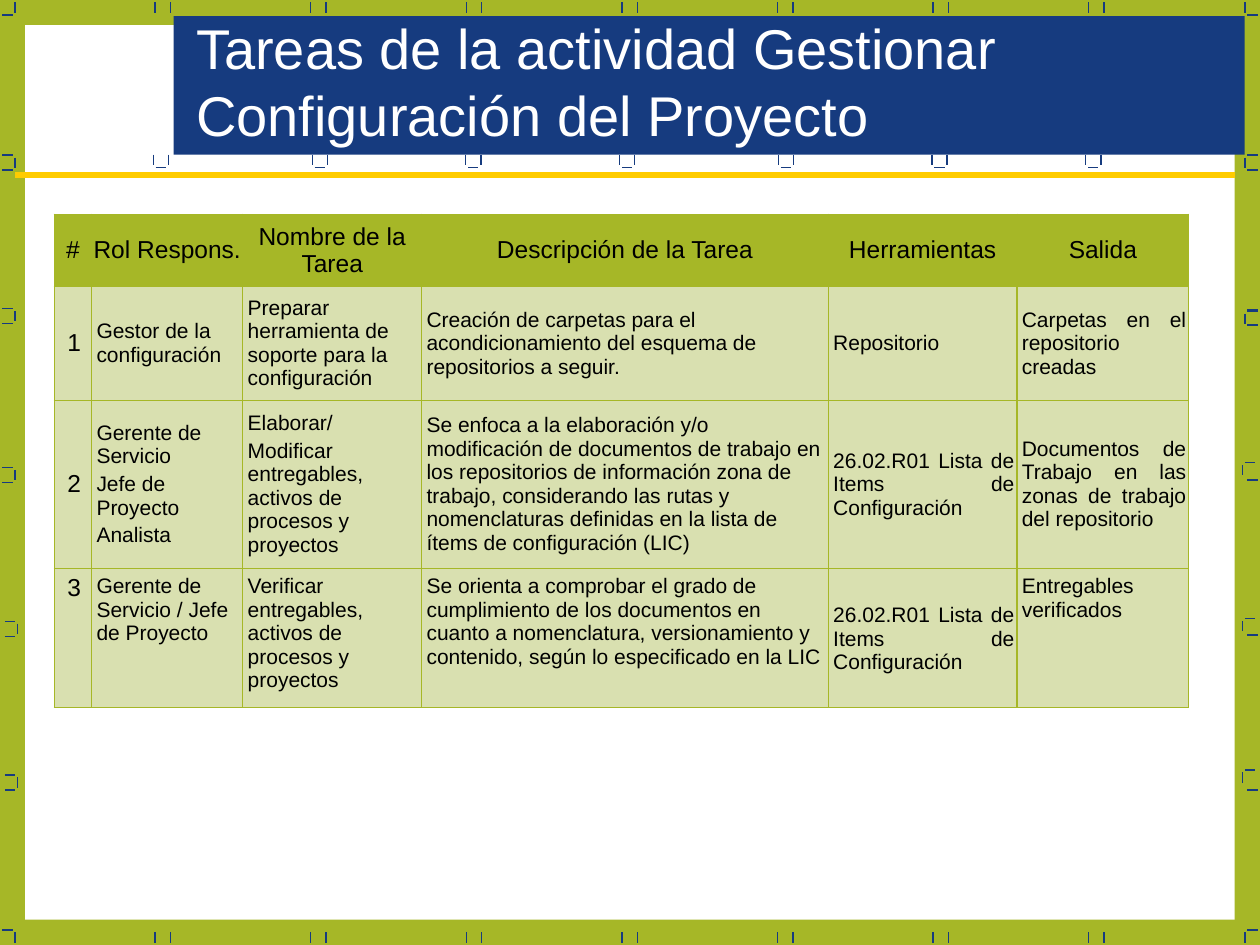
from lxml import etree
from pptx import Presentation
from pptx.dml.color import RGBColor
from pptx.enum.shapes import MSO_CONNECTOR, MSO_SHAPE
from pptx.enum.text import MSO_ANCHOR, PP_ALIGN
from pptx.oxml import parse_xml
from pptx.oxml.ns import qn
from pptx.util import Pt

GREEN = RGBColor(0xA6, 0xB7, 0x27)
PALE_GREEN = RGBColor(0xD9, 0xE0, 0xB0)
BLUE = RGBColor(0x16, 0x3B, 0x7F)
YELLOW = RGBColor(0xFF, 0xCC, 0x00)
WHITE = RGBColor(0xFF, 0xFF, 0xFF)
BLACK = RGBColor(0, 0, 0)
NAMESPACE = "http://schemas.openxmlformats.org/drawingml/2006/main"
TICK = 5.8
PAIR_GAP = 8.8
PAIR_PITCH = 88.92

TITLE = "Tareas de la actividad Gestionar Configuración del Proyecto"
COLUMN_WIDTHS = [21.4, 86.4, 102.2, 232.4, 107.8, 98.2]
ROW_HEIGHTS = [41.2, 65.1, 96, 79.4]
HEADINGS = ["#", "Rol Respons.", "Nombre de la Tarea", "Descripción de la Tarea",
            "Herramientas", "Salida"]
CONFIGURATION_LIST = "26.02.R01 Lista de Items de Configuración"
TASKS = [
    ["1", "Gestor de la configuración",
     "Preparar herramienta de soporte para la configuración",
     "Creación de carpetas para el acondicionamiento del esquema de repositorios a seguir.",
     "Repositorio", "Carpetas en el repositorio creadas"],
    ["2", "Gerente de Servicio\nJefe de Proyecto\nAnalista",
     "Elaborar/\nModificar entregables, activos de procesos y proyectos",
     "Se enfoca a la elaboración y/o modificación de documentos de trabajo en los "
     "repositorios de información zona de trabajo, considerando las rutas y "
     "nomenclaturas definidas en la lista de ítems de configuración (LIC)",
     CONFIGURATION_LIST, "Documentos de Trabajo en las zonas de trabajo del repositorio"],
    ["3", "Gerente de Servicio / Jefe de Proyecto",
     "Verificar entregables, activos de procesos y proyectos",
     "Se orienta a comprobar el grado de cumplimiento de los documentos en cuanto a "
     "nomenclatura, versionamiento y contenido, según lo especificado en la LIC",
     CONFIGURATION_LIST, "Entregables verificados"],
]


def add_line(slide, left, top, right, bottom, color=BLUE, width=0.75):
    """Draw a straight line without shadow."""
    line = slide.shapes.add_connector(
        MSO_CONNECTOR.STRAIGHT, Pt(left), Pt(top), Pt(right), Pt(bottom))
    line.line.color.rgb = color
    line.line.width = Pt(width)
    etree.SubElement(line._element.spPr, qn("a:effectLst"))


def add_vertical_tick(slide, left, top):
    """Draw one upright tick."""
    add_line(slide, left, top, left, top + TICK)


def add_horizontal_tick(slide, left, top):
    """Draw one level tick."""
    add_line(slide, left, top, left + TICK, top)


def add_rectangle(slide, left, top, width, height, color):
    """Draw a plain filled rectangle."""
    shape = slide.shapes.add_shape(
        MSO_SHAPE.RECTANGLE, Pt(left), Pt(top), Pt(width), Pt(height))
    shape.shadow.inherit = False
    shape.fill.solid()
    shape.fill.fore_color.rgb = color
    shape.line.fill.background()


def add_border_ticks(slide, width, height):
    """Place the ticks along the four edges of the given frame."""
    for top in (1.4, height - 7.2):
        for index in range(7):
            left = 88.6 + PAIR_PITCH * index
            add_vertical_tick(slide, left, top)
            add_vertical_tick(slide, left + PAIR_GAP, top)
        for left in (8.6, width - 8.6):
            add_vertical_tick(slide, left, top)
    for left in (1.4, width - 7.2):
        for top in (8.6, height - 8.6):
            add_horizontal_tick(slide, left, top)
    for left, top in ((1.4, 88.6), (1.4, 176.4), (1.4, 267.1), (2.8, 355), (2.8, 442.8)):
        add_horizontal_tick(slide, left, top)
        add_horizontal_tick(slide, left, top + 8.6)
        add_vertical_tick(slide, left + 7.2, top + 1.4)
    for inset, top in ((8.6, 88.6), (8.6, 177.8), (10, 264.2), (10, 353.5), (10, 440)):
        add_vertical_tick(slide, width - inset, top + 1.4)
        add_horizontal_tick(slide, width - inset + 1.4, top)
    for top in (97.2, 177.1, 185.8, 274.3, 362.9, 451.4):
        add_horizontal_tick(slide, width - 7.2, top)


def add_title(slide, left, top, width, height):
    """Place the title band, its brackets, its text and the rule below."""
    add_rectangle(slide, left, top, width, height, BLUE)
    bottom = top + height
    for offset in (-11.6, 79.2, 167, 254.9, 345.6, 433.4, 521.3):
        add_vertical_tick(slide, left + offset, bottom)
        add_vertical_tick(slide, left + offset + 8.6, bottom)
        add_horizontal_tick(slide, left + offset + 1.4, bottom + 7.2)
    box = slide.shapes.add_textbox(Pt(left + 5.8), Pt(top - 5), Pt(595.4), Pt(84.2))
    frame = box.text_frame
    frame.word_wrap = True
    frame.vertical_anchor = MSO_ANCHOR.MIDDLE
    add_text(frame.paragraphs[0], TITLE, 32, WHITE)
    add_line(slide, 8.6, bottom + 11.6, 705.6, bottom + 11.6, YELLOW, 3)


def add_text(paragraph, text, size, color):
    """Add one Arial run to a paragraph."""
    run = paragraph.add_run()
    run.text = text
    run.font.name = "Arial"
    run.font.size = Pt(size)
    run.font.color.rgb = color


def set_borders(cell):
    """Give a cell thin green borders on all sides."""
    properties = cell._tc.get_or_add_tcPr()
    for index, side in enumerate(("lnL", "lnR", "lnT", "lnB")):
        properties.insert(index, parse_xml(
            f'<a:{side} xmlns:a="{NAMESPACE}" w="{Pt(0.79)}"><a:solidFill>'
            f'<a:srgbClr val="{GREEN}"/></a:solidFill></a:{side}>'))


def fill_cell(cell, text, size, alignment, color, anchor, margins):
    """Write the paragraphs of a cell and style it."""
    cell.fill.solid()
    cell.fill.fore_color.rgb = color
    cell.vertical_anchor = anchor
    cell.margin_left, cell.margin_top, cell.margin_right, cell.margin_bottom = map(Pt, margins)
    for index, line in enumerate(text.split("\n")):
        frame = cell.text_frame
        paragraph = frame.add_paragraph() if index else frame.paragraphs[0]
        paragraph.alignment = alignment
        paragraph.space_before = Pt(size * 0.2)
        add_text(paragraph, line, size, BLACK)
    set_borders(cell)


def add_task_table(slide, left, top):
    """Place the table of tasks at the given corner."""
    rows = [HEADINGS] + TASKS
    table = slide.shapes.add_table(
        len(rows), len(HEADINGS), Pt(left), Pt(top),
        Pt(sum(COLUMN_WIDTHS)), Pt(sum(ROW_HEIGHTS))).table
    for column, width in zip(table.columns, COLUMN_WIDTHS):
        column.width = Pt(width)
    for row, height in zip(table.rows, ROW_HEIGHTS):
        row.height = Pt(height)
    alignments = [PP_ALIGN.CENTER] + [PP_ALIGN.LEFT] * 3 + [PP_ALIGN.JUSTIFY] * 2
    last = len(rows) - 1
    for row_index, texts in enumerate(rows):
        anchor = MSO_ANCHOR.TOP if row_index == last else MSO_ANCHOR.MIDDLE
        for column_index, text in enumerate(texts):
            cell = table.cell(row_index, column_index)
            if row_index == 0:
                fill_cell(cell, text, 14, PP_ALIGN.CENTER, GREEN, anchor, (0, 3.6, 0, 3.6))
                continue
            margin_top = 20.2 if (row_index, column_index) == (last, 4) else 3.6
            fill_cell(cell, text, 12 if column_index else 14, alignments[column_index],
                      PALE_GREEN, anchor, (2.8, margin_top, 1.4, 3.6))


def build_slide(presentation):
    """Build the slide of configuration tasks."""
    slide = presentation.slides.add_slide(presentation.slide_layouts[6])
    slide.background.fill.solid()
    slide.background.fill.fore_color.rgb = GREEN
    add_rectangle(slide, 14.4, 14.4, 691.2, 511.2, WHITE)
    add_border_ticks(slide, 720, 540)
    add_title(slide, 99.2, 9.2, 612, 79.2)
    add_task_table(slide, 31, 122.4)


presentation = Presentation()
presentation.slide_width = Pt(720)
presentation.slide_height = Pt(540)
build_slide(presentation)
presentation.save("out.pptx")
